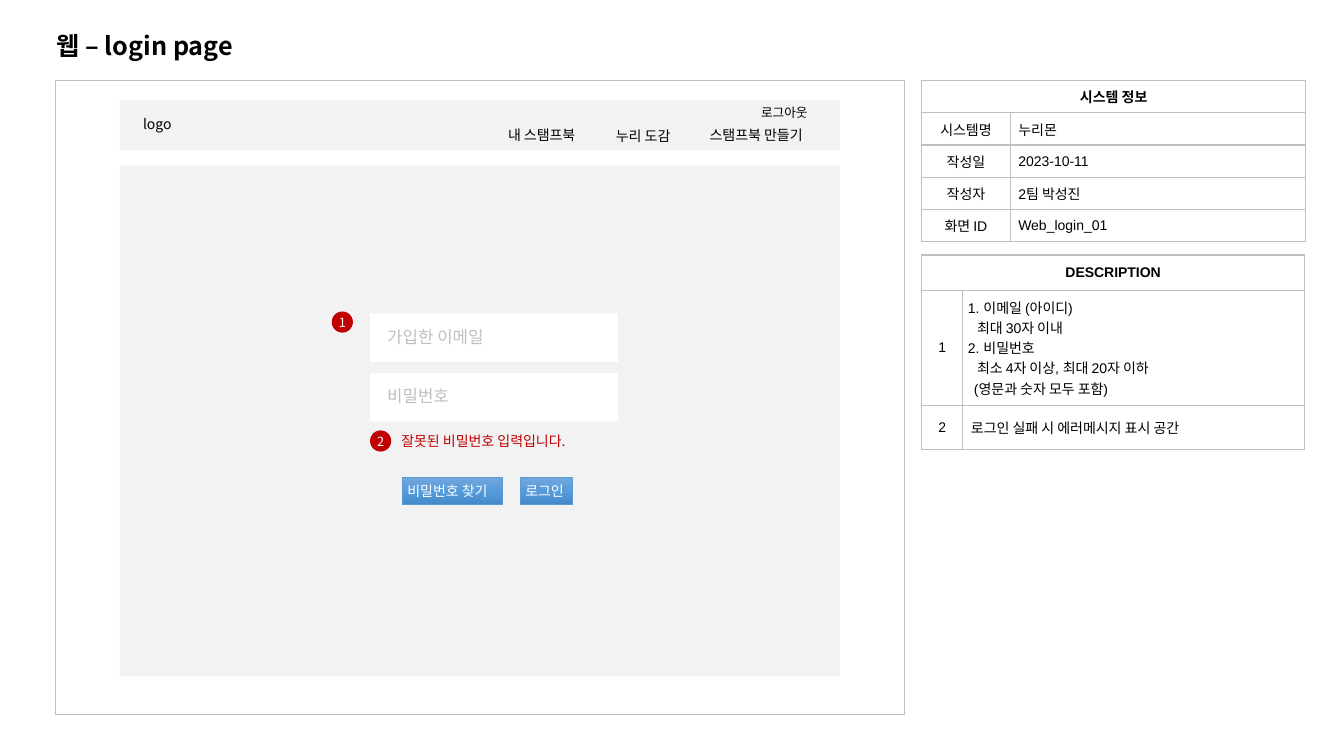
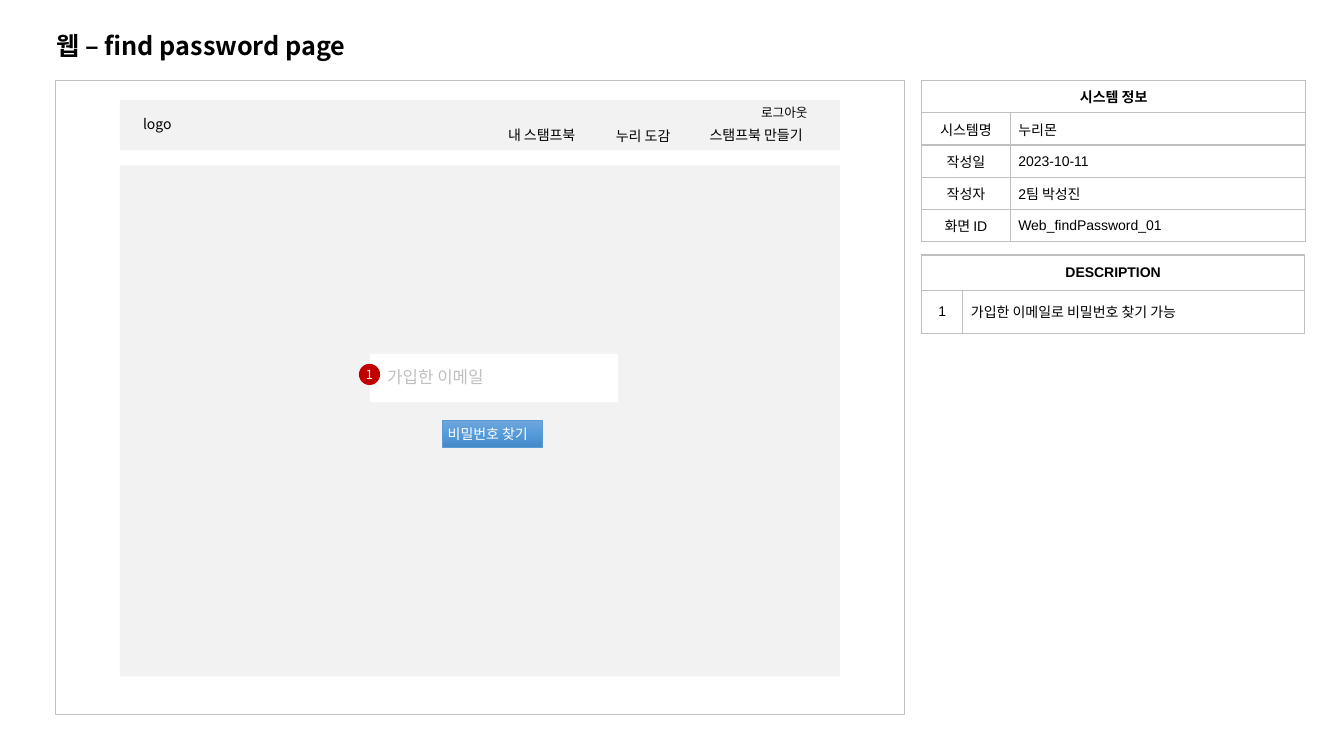
"""Build the login and find-password screen specifications."""
from copy import deepcopy
from lxml import etree
from pptx import Presentation
from pptx.dml.color import RGBColor
from pptx.enum import shapes, text
from pptx.oxml import ns
from pptx.util import Inches, Pt

BLACK = RGBColor(0x00, 0x00, 0x00)
WHITE = RGBColor(0xFF, 0xFF, 0xFF)
PANEL = RGBColor(0xF2, 0xF2, 0xF2)
RULE = RGBColor(0xBF, 0xBF, 0xBF)
RED = RGBColor(0xC0, 0x00, 0x00)
BUTTON_LINE = RGBColor(0x5B, 0x9B, 0xD5)
BUTTON_STOPS = [RGBColor(0x70, 0xA6, 0xDB), RGBColor(0x55, 0x9B, 0xDB),
                RGBColor(0x44, 0x8A, 0xC9)]
LATIN = "Arial"
KOREAN = "Noto Sans CJK KR"
RECT = shapes.MSO_SHAPE.RECTANGLE
OVAL = shapes.MSO_SHAPE.OVAL


def write(paragraph, wording, size=10, color=BLACK, font=KOREAN, bold=False,
          align=text.PP_ALIGN.LEFT):
    paragraph.alignment = align
    run = paragraph.add_run()
    run.text = wording
    run.font.size, run.font.bold, run.font.name = Pt(size), bold, font
    run.font.color.rgb = color
    east_asian = etree.SubElement(run.font._element, ns.qn("a:ea"))
    east_asian.set("typeface", KOREAN)


def add_part(slide, at, kind=None, fill=None, line=None, wording=None, inset=0.05,
             anchor=text.MSO_ANCHOR.TOP, **style):
    place = [Inches(v) for v in at]
    if kind is None:
        part = slide.shapes.add_textbox(*place)
    else:
        part = slide.shapes.add_shape(kind, *place)
        part.shadow.inherit = False
        if fill is None:
            part.fill.background()
        else:
            part.fill.solid()
            part.fill.fore_color.rgb = fill
        if line is None:
            part.line.fill.background()
        else:
            part.line.color.rgb, part.line.width = line, Pt(1)
    if wording:
        frame = part.text_frame
        frame.word_wrap = False
        frame.vertical_anchor = anchor
        frame.margin_left = frame.margin_right = Inches(inset)
        frame.margin_top = frame.margin_bottom = Inches(0.05)
        write(frame.paragraphs[0], wording, **style)
    return part


NAVIGATION = [
    ("logo", (1.32, 1.1, 0.49, 0.27), 10),
    ("내 스탬프북", (4.94, 1.21, 0.95, 0.27), 10),
    ("누리 도감", (6.01, 1.22, 0.81, 0.27), 10),
    ("스탬프북 만들기", (6.94, 1.21, 1.23, 0.27), 10),
    ("로그아웃", (7.45, 0.99, 0.71, 0.25), 9),
]
SCREENS = [
    {
        "title": ("웹 – login page", 1.95),
        "id": "Web_login_01",
        "fields": [("가입한 이메일", 3.11, 1.09), ("비밀번호", 3.7, 0.73)],
        "buttons": [("비밀번호 찾기", 3.99, 4.74, 0.99), ("로그인", 5.16, 4.74, 0.52)],
        "badges": [("1", 3.29, 3.09), ("2", 3.67, 4.27)],
        "error": "잘못된 비밀번호 입력입니다.",
        "heights": [0.35, 1.14, 0.44],
        "notes": [
            [("1. 이메일 (아이디)", 0), ("최대 30자 이내", 0.09), ("2. 비밀번호", 0),
             ("최소 4자 이상, 최대 20자 이하", 0.09), ("(영문과 숫자 모두 포함)", 0.06)],
            [("로그인 실패 시 에러메시지 표시 공간", 0.03)],
        ],
    },
    {
        "title": ("웹 – find password page", 3.04),
        "id": "Web_findPassword_01",
        "fields": [("가입한 이메일", 3.51, 1.09)],
        "buttons": [("비밀번호 찾기", 4.39, 4.17, 0.99)],
        "badges": [("1", 3.56, 3.61)],
        "error": None,
        "heights": [0.35, 0.43],
        "notes": [[("가입한 이메일로 비밀번호 찾기 가능", 0.03)]],
    },
]

deck = Presentation()
deck.slide_width, deck.slide_height = Inches(13.33), Inches(7.5)

for screen in SCREENS:
    slide = deck.slides.add_slide(deck.slide_layouts[5])

    heading, heading_width = screen["title"]
    title = slide.shapes.title
    title.left, title.top = Inches(0.51), Inches(0.25)
    title.width, title.height = Inches(heading_width), Inches(0.4)
    frame = title.text_frame
    frame.word_wrap = False
    frame.auto_size = text.MSO_AUTO_SIZE.NONE
    frame.vertical_anchor = text.MSO_ANCHOR.TOP
    frame.margin_left = frame.margin_right = Inches(0.05)
    frame.margin_top = frame.margin_bottom = Inches(0.05)
    write(frame.paragraphs[0], heading, size=18, bold=True)

    add_part(slide, (0.55, 0.8, 8.42, 6.29), RECT, line=RULE)
    add_part(slide, (1.19, 0.99, 7.14, 0.5), RECT, fill=PANEL)
    add_part(slide, (1.19, 1.64, 7.14, 5.07), RECT, fill=PANEL)
    for label, at, size in NAVIGATION:
        add_part(slide, at, wording=label, inset=0.1, size=size)

    for hint, top, width in screen["fields"]:
        add_part(slide, (3.67, top, 2.46, 0.48), RECT, fill=WHITE)
        add_part(slide, (3.79, top + 0.08, width, 0.3), wording=hint,
                 size=12, color=RULE, font=LATIN)

    for label, left, top, width in screen["buttons"]:
        button = add_part(slide, (left, top, width, 0.27), RECT, line=BUTTON_LINE,
                          wording=label, color=WHITE)
        button.line.width = Pt(0.75)
        button.fill.gradient()
        button.fill.gradient_angle = 270
        stops = button._element.spPr.find(".//" + ns.qn("a:gsLst"))
        middle = deepcopy(stops[0])
        middle.set("pos", "50000")
        stops.insert(1, middle)
        for stop, color in zip(button.fill.gradient_stops, BUTTON_STOPS):
            stop.color.rgb = color

    if screen["error"]:
        add_part(slide, (3.93, 4.24, 1.91, 0.27), wording=screen["error"], color=RED)
    for number, left, top in screen["badges"]:
        add_part(slide, (left, top, 0.21, 0.21), OVAL, fill=RED, wording=number, inset=0,
                 anchor=text.MSO_ANCHOR.MIDDLE, size=9, color=WHITE,
                 align=text.PP_ALIGN.CENTER)

    system_facts = [("시스템명", "누리몬"), ("작성일", "2023-10-11"),
                    ("작성자", "2팀 박성진"), ("화면 ID", screen["id"])]
    system_rows = [(label, [(value, 0.03)]) for label, value in system_facts]
    note_rows = [(str(n), lines) for n, lines in enumerate(screen["notes"], 1)]
    for header, top, widths, heights, rows in [
        ("시스템 정보", 0.8, (0.88, 2.93), [0.32] * 5, system_rows),
        ("DESCRIPTION", 2.53, (0.41, 3.39), screen["heights"], note_rows),
    ]:
        table = slide.shapes.add_table(
            len(heights), 2, Inches(9.14), Inches(top),
            Inches(sum(widths)), Inches(sum(heights))).table
        table.first_row = table.horz_banding = False
        for column, width in zip(table.columns, widths):
            column.width = Inches(width)
        for row, height in zip(table.rows, heights):
            row.height = Inches(height)
        for cell in table.iter_cells():
            cell.vertical_anchor = text.MSO_ANCHOR.MIDDLE
            cell.margin_left = cell.margin_right = Inches(0.05)
            cell.margin_top = cell.margin_bottom = Inches(0.05)
            properties = cell._tc.get_or_add_tcPr()
            for side in ("lnL", "lnR", "lnT", "lnB"):
                border = etree.SubElement(properties, ns.qn("a:" + side), w=str(Pt(1)))
                solid = etree.SubElement(border, ns.qn("a:solidFill"))
                etree.SubElement(solid, ns.qn("a:srgbClr"), val=str(RULE))
            cell.fill.background()
        table.cell(0, 0).merge(table.cell(0, 1))
        write(table.cell(0, 0).text_frame.paragraphs[0], header, font=LATIN, bold=True,
              align=text.PP_ALIGN.CENTER)
        for r, (label, lines) in enumerate(rows, 1):
            write(table.cell(r, 0).text_frame.paragraphs[0], label, font=LATIN,
                  align=text.PP_ALIGN.CENTER)
            body = table.cell(r, 1).text_frame
            for i, (line, indent) in enumerate(lines):
                paragraph = body.add_paragraph() if i else body.paragraphs[0]
                write(paragraph, line, font=LATIN)
                paragraph._p.get_or_add_pPr().set("marL", str(Inches(indent)))

deck.save("out.pptx")
